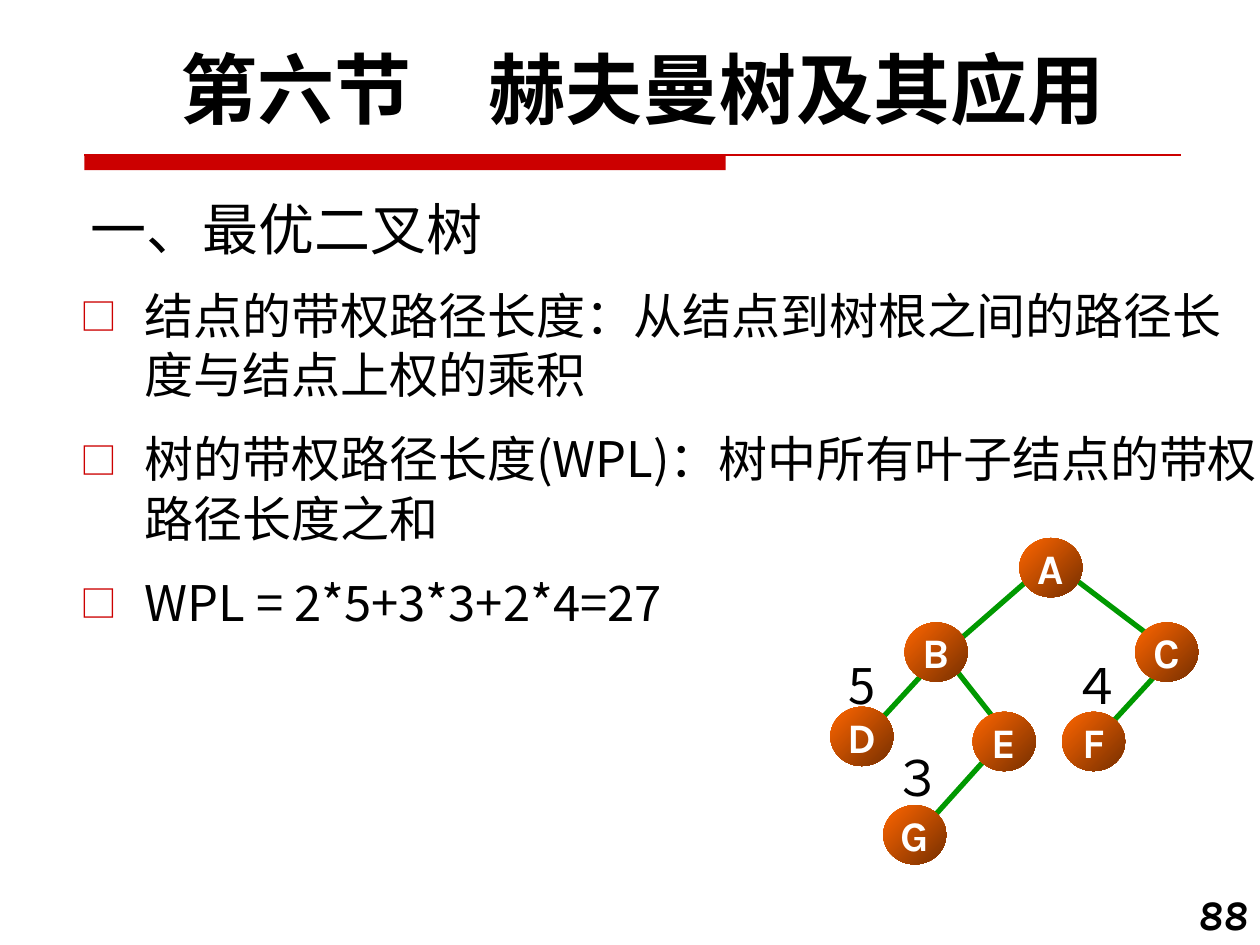
import dataclasses

import pptx
import pptx.dml.color
import pptx.enum.shapes
import pptx.enum.text
import pptx.oxml
import pptx.oxml.ns
import pptx.util
from pptx.util import Inches, Pt

ALIGN = pptx.enum.text.PP_ALIGN
ANCHOR = pptx.enum.text.MSO_ANCHOR
SHAPE = pptx.enum.shapes.MSO_SHAPE
STRAIGHT = pptx.enum.shapes.MSO_CONNECTOR.STRAIGHT


@dataclasses.dataclass(frozen=True)
class Theme:
    ink: str = "000000"
    white: str = "FFFFFF"
    accent: str = "CC0000"
    edge: str = "009900"
    node_light: str = "FF6600"
    node_dark: str = "762F00"
    latin: str = "Karla"
    chinese: str = "Noto Sans CJK SC"
    heading: int = 44
    title: int = 32
    body: int = 28
    label: int = 24
    body_leading: int = 34


THEME = Theme()

NODE_SIZE = (0.5, 0.47)
NODES = {
    "A": (8.09, 4.27),
    "B": (7.18, 4.94),
    "C": (9.01, 4.94),
    "D": (6.59, 5.61),
    "E": (7.72, 5.65),
    "F": (8.43, 5.65),
    "G": (7.01, 6.39),
}
EDGES = [
    (8.47, 4.55, 9.09, 5.02),
    (8.22, 4.55, 7.59, 5.1),
    (7.47, 5.19, 7.01, 5.69),
    (7.51, 5.22, 7.88, 5.69),
    (9.3, 5.22, 8.84, 5.72),
    (7.88, 5.96, 7.43, 6.46),
]
WEIGHTS = {"5": (6.68, 5.15), "３": (7.09, 5.88), "４": (8.51, 5.15)}
POINTS = [
    "结点的带权路径长度：从结点到树根之间的路径长度与结点上权的乘积",
    "树的带权路径长度(WPL)：树中所有叶子结点的带权路径长度之和",
    "WPL = 2*5+3*3+2*4=27",
]


def rgb(value):
    return pptx.dml.color.RGBColor.from_string(value)


def add_xml(parent, tag, **attributes):
    child = pptx.oxml.parse_xml(f"<a:{tag} {pptx.oxml.ns.nsdecls('a')}/>")
    for name, value in attributes.items():
        child.set(name, value)
    parent.append(child)
    return child


def style(para, size, name, color=THEME.ink, align=ALIGN.LEFT, bold=False, italic=False):
    para.alignment = align
    font = para.font
    font.size, font.name, font.bold, font.italic = Pt(size), name, bold, italic
    font.color.rgb = rgb(color)
    add_xml(font._element, "ea", typeface=name)


def add_text(shapes, text, area, size, name, inset=0.1, **look):
    box = shapes.add_textbox(*map(Inches, area))
    frame = box.text_frame
    frame.word_wrap = True
    frame.margin_left = frame.margin_right = Inches(inset)
    para = frame.paragraphs[0]
    para.text = text
    style(para, size, name, **look)
    return para


def add_line(shapes, ends, color, width):
    line = shapes.add_connector(STRAIGHT, *map(Inches, ends))
    line.line.color.rgb = rgb(color)
    line.line.width = Pt(width)
    add_xml(line._element.spPr, "effectLst")


def add_rule(page):
    bar = page.shapes.add_shape(
        SHAPE.RECTANGLE, Inches(0.67), Inches(1.23), Inches(5.09), Inches(0.12))
    bar.shadow.inherit = False
    bar.fill.solid()
    bar.fill.fore_color.rgb = rgb(THEME.accent)
    bar.line.fill.background()
    add_line(page.shapes, (0.67, 1.23, 9.37, 1.23), THEME.accent, 0.75)


def set_title(page, text):
    title = page.shapes.title
    title.left, title.top = Inches(0.62), Inches(1.38)
    title.width, title.height = Inches(6.25), Inches(0.75)
    title.text_frame.vertical_anchor = ANCHOR.BOTTOM
    para = title.text_frame.paragraphs[0]
    para.text = text
    style(para, THEME.title, THEME.chinese)


def add_points(page, points):
    box = page.shapes.add_textbox(Inches(0.54), Inches(2.21), Inches(9.58), Inches(4.5))
    frame = box.text_frame
    frame.word_wrap = True
    for index, text in enumerate(points):
        para = frame.add_paragraph() if index else frame.paragraphs[0]
        para.text = text
        para.line_spacing = Pt(THEME.body_leading)
        para.space_before = Pt(THEME.body / 2 if index else 0)
        properties = para._p.get_or_add_pPr()
        properties.set("marL", str(Inches(0.51)))
        properties.set("indent", str(-Inches(0.51)))
        add_xml(add_xml(properties, "buClr"), "srgbClr", val=THEME.accent)
        add_xml(properties, "buSzPct", val="75000")
        add_xml(properties, "buFont", typeface=THEME.chinese)
        add_xml(properties, "buChar", char="□")
        style(para, THEME.body, THEME.chinese)


def add_node(shapes, letter, corner):
    node = shapes.add_shape(SHAPE.OVAL, *map(Inches, corner + NODE_SIZE))
    node.shadow.inherit = False
    node.line.fill.background()
    node.fill.gradient()
    node.fill.gradient_angle = 315
    for stop, color in zip(node.fill.gradient_stops, (THEME.node_light, THEME.node_dark)):
        stop.color.rgb = rgb(color)
    for stop, position in zip(node.fill.gradient_stops, (0, 1)):
        stop.position = position
    frame = node.text_frame
    frame.word_wrap = False
    frame.margin_left = frame.margin_right = 0
    frame.vertical_anchor = ANCHOR.MIDDLE
    para = frame.paragraphs[0]
    para.text = letter
    style(para, THEME.label, THEME.latin, THEME.white, ALIGN.CENTER, bold=True)


def add_tree(page):
    shapes = page.shapes.add_group_shape().shapes
    for ends in EDGES:
        add_line(shapes, ends, THEME.edge, 3)
    for letter, corner in NODES.items():
        add_node(shapes, letter, corner)
    for weight, corner in WEIGHTS.items():
        para = add_text(shapes, weight, corner + (0.33, 0.57), THEME.body,
                        THEME.chinese, inset=0, align=ALIGN.CENTER)
        para.line_spacing = Pt(THEME.body_leading)


def main():
    deck = pptx.Presentation()
    deck.slide_width, deck.slide_height = Inches(10), Inches(7.5)
    page = deck.slides.add_slide(deck.slide_layouts[5])
    add_rule(page)
    set_title(page, "一、最优二叉树")
    add_text(page.shapes, "88", (9.03, 7, 0.97, 0.5), THEME.label, THEME.latin,
             align=ALIGN.RIGHT, bold=True, italic=True)
    add_points(page, POINTS)
    add_tree(page)
    heading = add_text(page.shapes, "第六节　赫夫曼树及其应用", (0.48, 0.36, 9.25, 0.77),
                       THEME.heading, THEME.latin, align=ALIGN.CENTER, bold=True)
    heading.line_spacing = 0.9
    deck.save("out.pptx")


if __name__ == "__main__":
    main()
